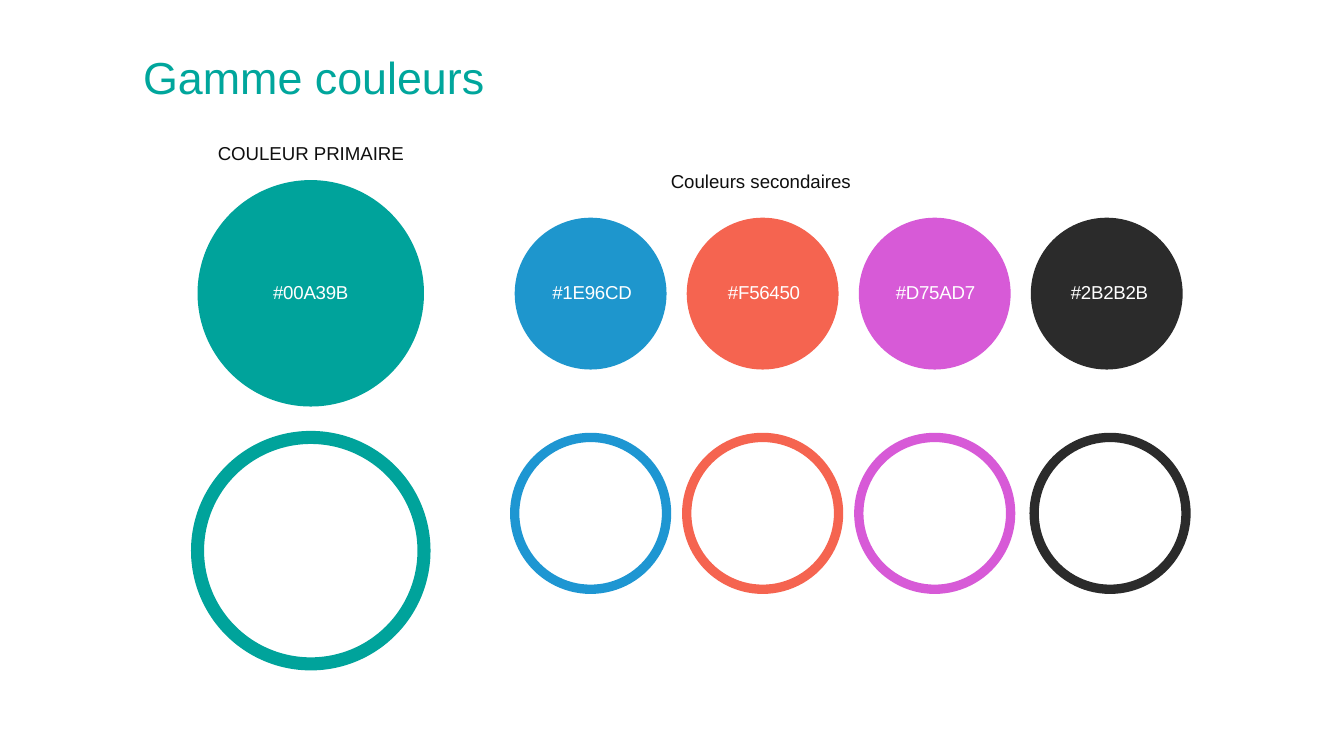
from dataclasses import dataclass

from pptx import Presentation
from pptx.dml.color import RGBColor
from pptx.enum.shapes import MSO_SHAPE
from pptx.enum.text import MSO_ANCHOR, MSO_AUTO_SIZE, PP_ALIGN
from pptx.util import Pt

EMU_PER_PX = 4572


@dataclass(frozen=True)
class Theme:
    font: str = "Arial"
    title: str = "00A69C"
    text: str = "0F0F0F"
    white: str = "FFFFFF"
    primary: str = "00A39B"
    secondary: tuple = ("1E96CD", "F56450", "D75AD7", "2B2B2B")
    blue_ring: str = "1E96D2"
    title_size: int = 24
    label_size: int = 10
    primary_line: int = 7
    secondary_line: int = 5


THEME = Theme()


def px(value):
    return value * EMU_PER_PX


def place(box, left, top, width, height):
    box.left, box.top = px(left), px(top)
    box.width, box.height = px(width), px(height)


def write(box, text, size=THEME.label_size, color=THEME.text,
          align=PP_ALIGN.CENTER, spacing=None):
    frame = box.text_frame
    frame.word_wrap = True
    frame.auto_size = MSO_AUTO_SIZE.NONE
    frame.vertical_anchor = MSO_ANCHOR.TOP
    frame.margin_left = frame.margin_right = 0
    frame.margin_top = frame.margin_bottom = 0
    paragraph = frame.paragraphs[0]
    paragraph.alignment = align
    paragraph.space_before = Pt(0)
    paragraph.space_after = Pt(4)
    span = paragraph.add_run()
    span.text = text
    span.font.name = THEME.font
    span.font.size = Pt(size)
    span.font.color.rgb = RGBColor.from_string(color)
    if spacing is not None:
        span.font._element.set("spc", str(spacing))


def add_title(page, text):
    box = page.shapes.title
    place(box, 213, 74, 932, 118)
    write(box, text, size=THEME.title_size, color=THEME.title,
          align=PP_ALIGN.LEFT)


def add_label(page, text, left, top, width, **style):
    box = page.shapes.add_textbox(px(left), px(top), px(width), px(50))
    write(box, text, **style)


def add_circle(page, left, top, size, fill, line=None, line_width=0):
    circle = page.shapes.add_shape(
        MSO_SHAPE.OVAL, px(left), px(top), px(size), px(size))
    circle.shadow.inherit = False
    circle.fill.solid()
    circle.fill.fore_color.rgb = RGBColor.from_string(fill)
    if line:
        circle.line.color.rgb = RGBColor.from_string(line)
        circle.line.width = Pt(line_width)
    else:
        circle.line.fill.background()


def add_swatch(page, color, left, top, size, label_left, label_width,
               ring_left, ring_color, ring_width):
    add_circle(page, left, top, size, color)
    add_circle(page, ring_left, 651, size, THEME.white, ring_color, ring_width)
    add_label(page, f"#{color}", label_left, 418, label_width,
              color=THEME.white, spacing=-10)


def main():
    deck = Presentation()
    deck.slide_width, deck.slide_height = px(2000), px(1125)
    page = deck.slides.add_slide(deck.slide_layouts[5])

    add_title(page, "Gamme couleurs")
    add_label(page, "COULEUR PRIMAIRE", 294, 211, 337)
    add_label(page, "Couleurs secondaires", 767, 253, 730)

    add_swatch(page, THEME.primary, 294, 268, 337, 294, 337,
               294, THEME.primary, THEME.primary_line)

    ring_colors = (THEME.blue_ring, *THEME.secondary[1:])
    ring_lefts = (766, 1022, 1278, 1539)
    label_lefts = (770, 1026, 1281, 1540)
    columns = zip(THEME.secondary, ring_colors, ring_lefts, label_lefts)
    for index, (color, ring_color, ring_left, label_left) in enumerate(columns):
        add_swatch(page, color, 766 + 256 * index, 324, 226, label_left, 222,
                   ring_left, ring_color, THEME.secondary_line)

    deck.save("out.pptx")


if __name__ == "__main__":
    main()
